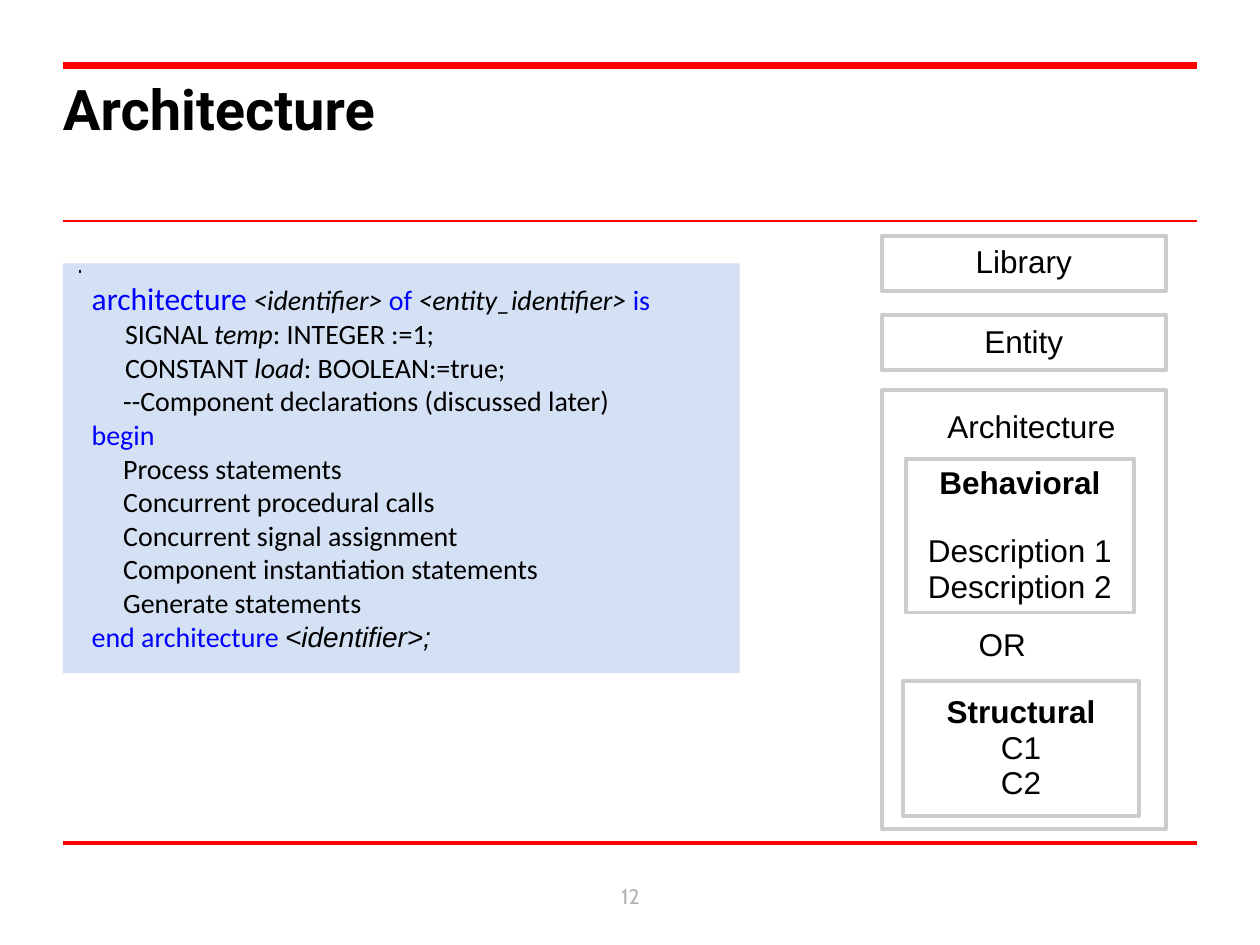
import pptx
import pptx.util
import pptx.dml.color
import pptx.enum.shapes
import pptx.enum.text
import pptx.oxml.ns
from lxml import etree

Cm, Pt = pptx.util.Cm, pptx.util.Pt
RGB = pptx.dml.color.RGBColor
ALIGN = pptx.enum.text.PP_ALIGN
ANCHOR = pptx.enum.text.MSO_ANCHOR

RED = RGB(0xFF, 0x00, 0x00)
BLUE = RGB(0x00, 0x00, 0xFF)
BLACK = RGB(0x00, 0x00, 0x00)
PANEL = RGB(0xD4, 0xE0, 0xF3)
BORDER = RGB(0xCC, 0xCC, 0xCC)
NUMBER = RGB(0xB2, 0xB2, 0xB2)

# Run formats
LABEL = {"name": "Arial", "size": Pt(18), "color": BLACK}
HEAD = {**LABEL, "bold": True}
CODE = {"name": "Calibri", "size": Pt(16), "color": BLACK}
VAR = {**CODE, "italic": True}
KEY = {**CODE, "color": BLUE}
SMALL = {**VAR, "size": Pt(14)}

CODE_LINES = [
    [("architecture", {**KEY, "size": Pt(18)}), (" <identifier> ", VAR), ("of", KEY),
     (" <entity_identifier> ", VAR), ("is", KEY)],
    [("      ", SMALL), ("SIGNAL", CODE), (" ", SMALL), ("temp", VAR),
     (": INTEGER :=1;", CODE)],
    [("      ", SMALL), ("CONSTANT ", CODE), ("load", VAR), (": BOOLEAN:=true;", CODE)],
    [("     --Component declarations (discussed later)", CODE)],
    [("begin", KEY)],
    [("     Process statements", CODE)],
    [("     Concurrent procedural calls", CODE)],
    [("     Concurrent signal assignment", CODE)],
    [("     Component instantiation statements", CODE)],
    [("     Generate statements", CODE)],
    [("end architecture ", KEY), ("<identifier>;", {**VAR, "name": "Arial"})],
]


def add_runs(p, runs):
    for text, fmt in runs:
        r = p.add_run()
        r.text = text
        for key, value in fmt.items():
            if key == "color":
                r.font.color.rgb = value
            else:
                setattr(r.font, key, value)


def fill_text(tf, lines, para=None, **frame):
    """Write lines of (text, format) runs into a text frame."""
    for key, value in {"word_wrap": True, **frame}.items():
        setattr(tf, key, value)
    for i, runs in enumerate(lines):
        p = tf.paragraphs[0] if i == 0 else tf.add_paragraph()
        for key, value in (para or {}).items():
            setattr(p, key, value)
        add_runs(p, runs)


def add_text(s, x, y, w, h, lines, para=None, **frame):
    sp = s.shapes.add_textbox(Cm(x), Cm(y), Cm(w), Cm(h))
    fill_text(sp.text_frame, lines, para, **frame)


def add_rule(s, y, width):
    line = s.shapes.add_connector(pptx.enum.shapes.MSO_CONNECTOR.STRAIGHT,
                                  Cm(1.27), Cm(y), Cm(24.13), Cm(y))
    line.line.color.rgb = RED
    line.line.width = Pt(width)
    etree.SubElement(line._element.spPr, pptx.oxml.ns.qn("a:effectLst"))


def add_rect(s, x, y, w, h, fill=None, border=None):
    sp = s.shapes.add_shape(pptx.enum.shapes.MSO_SHAPE.RECTANGLE,
                            Cm(x), Cm(y), Cm(w), Cm(h))
    sp.shadow.inherit = False
    if fill is None:
        sp.fill.background()
    else:
        sp.fill.solid()
        sp.fill.fore_color.rgb = fill
    if border is None:
        sp.line.fill.background()
    else:
        sp.line.color.rgb = border
        sp.line.width = Pt(2.25)
    return sp


def add_box(s, x, y, w, h, lines=()):
    sp = add_rect(s, x, y, w, h, border=BORDER)
    fill_text(sp.text_frame, [[line] for line in lines],
              {"alignment": ALIGN.CENTER, "line_spacing": 0.93},
              vertical_anchor=ANCHOR.MIDDLE)
    return sp


def add_dot(s, x, y, side):
    fb = s.shapes.build_freeform(Cm(x), Cm(y))
    fb.add_line_segments([(Cm(x + side), Cm(y)), (Cm(x + side), Cm(y + side)),
                          (Cm(x), Cm(y + side))], close=True)
    sp = fb.convert_to_shape()
    sp.shadow.inherit = False
    sp.fill.background()
    sp.line.color.rgb = BLACK
    sp.line.width = Pt(0.75)


def main():
    prs = pptx.Presentation()
    prs.slide_width, prs.slide_height = Cm(25.4), Cm(19.05)
    s = prs.slides.add_slide(prs.slide_layouts[6])

    # Red rules
    for y, width in ((16.99, 2.5), (4.45, 1), (1.32, 4)):
        add_rule(s, y, width)

    # Title and slide number
    add_text(s, 1.27, 1.5, 22.83, 2.54,
             [[("Architecture", {"name": "Roboto", "size": Pt(32),
                                 "color": BLACK, "bold": True})]],
             margin_left=0, margin_top=0, margin_right=0, margin_bottom=0)
    add_text(s, 9.75, 17.55, 5.92, 1.02,
             [[("12", {"name": "Cabin", "size": Pt(12), "color": NUMBER})]],
             {"alignment": ALIGN.CENTER}, vertical_anchor=ANCHOR.MIDDLE)

    # Code panel
    add_rect(s, 1.27, 5.31, 13.64, 8.26, fill=PANEL)
    add_dot(s, 1.6, 5.46, 0.03)
    add_text(s, 1.6, 5.5, 13.44, 7.87, CODE_LINES)

    # Design unit boxes
    add_box(s, 17.78, 4.75, 5.72, 1.12, [("Library", LABEL)])
    add_box(s, 17.78, 6.35, 5.72, 1.12, [("Entity", LABEL)])
    add_box(s, 17.78, 7.87, 5.72, 8.84)
    behavioral = add_box(s, 18.26, 9.25, 4.6, 3.1,
                         [("Behavioral", HEAD), ("Description 1", LABEL),
                          ("Description 2", LABEL)])
    behavioral.text_frame.paragraphs[1].space_before = Pt(19)
    add_box(s, 18.21, 13.72, 4.75, 2.74,
            [("Structural", HEAD), ("C1", LABEL), ("C2", LABEL)])

    # Labels inside the architecture box
    add_text(s, 18.85, 8.08, 3.94, 1.02, [[("Architecture", LABEL)]], word_wrap=False)
    add_text(s, 19.48, 12.47, 1.47, 1.02, [[("OR", LABEL)]], word_wrap=False)

    prs.save("out.pptx")


if __name__ == "__main__":
    main()
